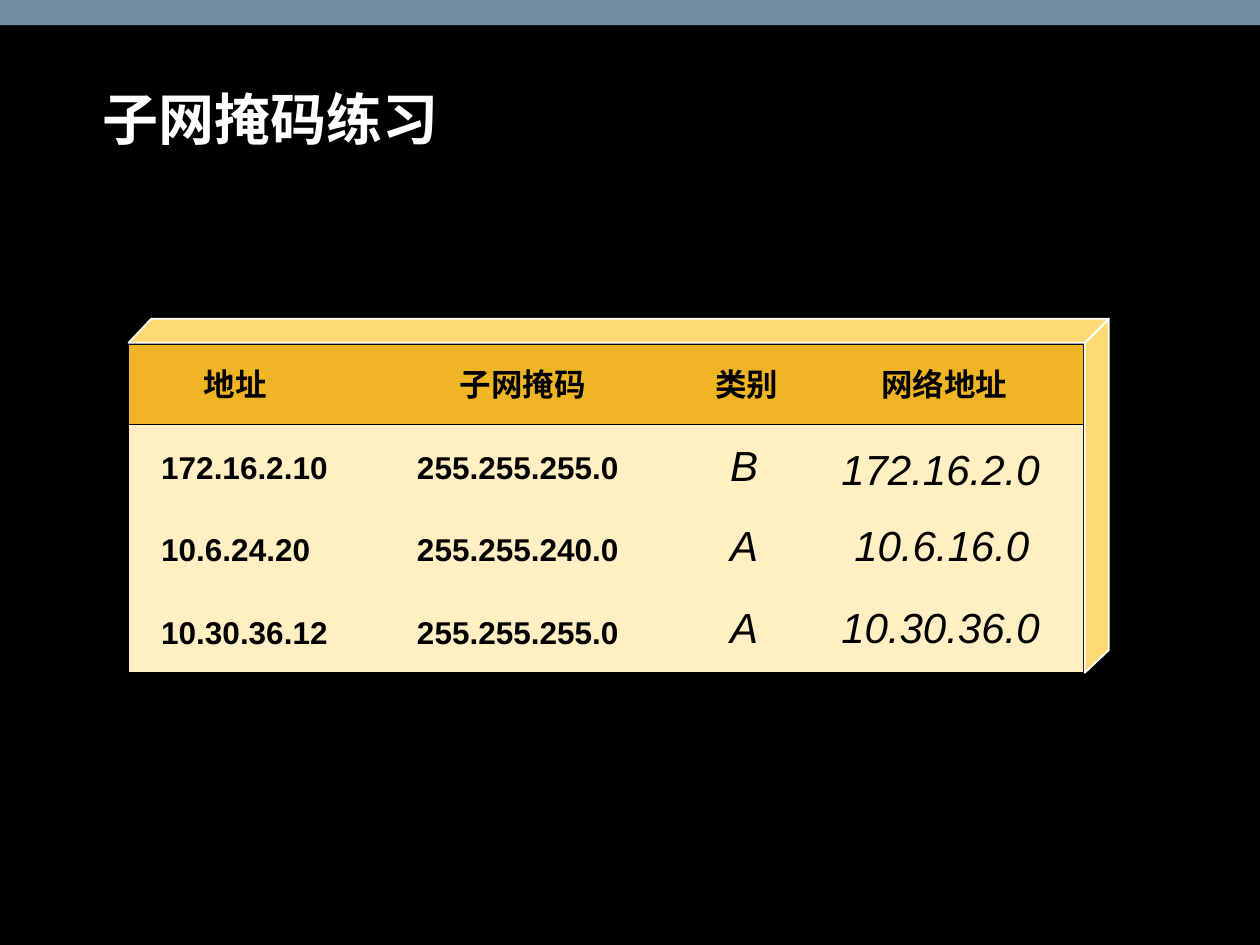
from pptx import Presentation
from pptx.dml.color import RGBColor
from pptx.enum.shapes import MSO_SHAPE
from pptx.enum.text import MSO_ANCHOR, PP_ALIGN
from pptx.util import Inches, Pt

COLORS = {
    "background": "000000",
    "bar": "708CA1",
    "panel": "FFEFC2",
    "header": "EFB525",
    "edge": "FFDA74",
    "white": "FFFFFF",
    "black": "000000",
}


def paint(shape, fill, line=None):
    shape.shadow.inherit = False
    shape.fill.solid()
    shape.fill.fore_color.rgb = RGBColor.from_string(COLORS[fill])
    if line:
        shape.line.color.rgb = RGBColor.from_string(COLORS[line])
        shape.line.width = Pt(1)
    else:
        shape.line.fill.background()


def write(shape, text, size, color="black", bold=False, italic=False,
          align=PP_ALIGN.LEFT, anchor=MSO_ANCHOR.TOP, spacing=0.9,
          margins=(0.09, 0.04), wrap=True):
    frame = shape.text_frame
    frame.text = text
    frame.word_wrap = wrap
    frame.vertical_anchor = anchor
    frame.margin_left = frame.margin_right = Inches(margins[0])
    frame.margin_top = frame.margin_bottom = Inches(margins[1])
    paragraph = frame.paragraphs[0]
    paragraph.alignment = align
    paragraph.line_spacing = spacing
    font = paragraph.runs[0].font
    font.name = "Arial"
    font.size = Pt(size)
    font.bold = bold
    font.italic = italic
    font.color.rgb = RGBColor.from_string(COLORS[color])


presentation = Presentation()
presentation.slide_width = Inches(10)
presentation.slide_height = Inches(7.5)
slide = presentation.slides.add_slide(presentation.slide_layouts[5])
slide.background.fill.solid()
slide.background.fill.fore_color.rgb = RGBColor.from_string(COLORS["background"])

title = slide.shapes.title
title.left, title.top = Inches(0.72), Inches(0.33)
title.width, title.height = Inches(8.91), Inches(0.92)
write(title, "子网掩码练习", 32, "white", bold=True, anchor=MSO_ANCHOR.BOTTOM)

# Top bar, panel and header band
for left, top, width, height, fill, line in [
    (0, 0, 10, 0.2, "bar", None),
    (1.02, 2.82, 7.58, 2.52, "panel", "black"),
    (1.02, 2.73, 7.58, 0.64, "header", "black"),
]:
    rectangle = slide.shapes.add_shape(
        MSO_SHAPE.RECTANGLE, Inches(left), Inches(top), Inches(width), Inches(height))
    paint(rectangle, fill, line)

# Right and top faces of the raised panel
right_face = [(8.8, 2.53), (8.61, 2.72), (8.61, 5.34), (8.8, 5.16)]
top_face = [(1.02, 2.72), (1.2, 2.53), (8.8, 2.53), (8.61, 2.72)]
for face in (right_face, top_face):
    start, *corners = [(Inches(x), Inches(y)) for x, y in face]
    builder = slide.shapes.build_freeform(*start)
    builder.add_line_segments(corners, close=True)
    paint(builder.convert_to_shape(), "edge", "white")

# Header labels and given values
headers = [("地址", 1.07, 1.59), ("子网掩码", 3.25, 1.8),
           ("类别", 5.12, 1.61), ("网络地址", 6.72, 1.55)]
labels = [(text, left, 2.86, width, PP_ALIGN.CENTER) for text, left, width in headers]

exercises = [
    ("172.16.2.10", "255.255.255.0", "B", "172.16.2.0"),
    ("10.6.24.20", "255.255.240.0", "A", "10.6.16.0"),
    ("10.30.36.12", "255.255.255.0", "A", "10.30.36.0"),
]
row_tops = [3.52, 4.17, 4.83]
for top, (address, mask, _, _) in zip(row_tops, exercises):
    labels.append((address, 1.17, top, 2.1, PP_ALIGN.LEFT))
    labels.append((mask, 3.2, top, 2.03, PP_ALIGN.LEFT))

for text, left, top, width, align in labels:
    box = slide.shapes.add_textbox(Inches(left), Inches(top), Inches(width), Inches(0.4))
    write(box, text, 18, bold=True, align=align, spacing=0.95, margins=(0.11, 0.06))

# Answers, one group per row: class top, network top, network left and width
answer_places = [(3.49, 3.52, 6.58, 1.77), (4.12, 4.12, 6.68, 1.59), (4.77, 4.77, 6.58, 1.77)]
for (_, _, address_class, network), place in zip(exercises, answer_places):
    class_top, network_top, network_left, network_width = place
    group = slide.shapes.add_group_shape()
    for text, left, top, width in [
        (address_class, 5.7, class_top, 0.41),
        (network, network_left, network_top, network_width),
    ]:
        answer = group.shapes.add_shape(
            MSO_SHAPE.RECTANGLE, Inches(left), Inches(top), Inches(width), Inches(0.45))
        paint(answer, "panel")
        write(answer, text, 24, italic=True, align=PP_ALIGN.CENTER,
              anchor=MSO_ANCHOR.MIDDLE, wrap=False)

presentation.save("out.pptx")
